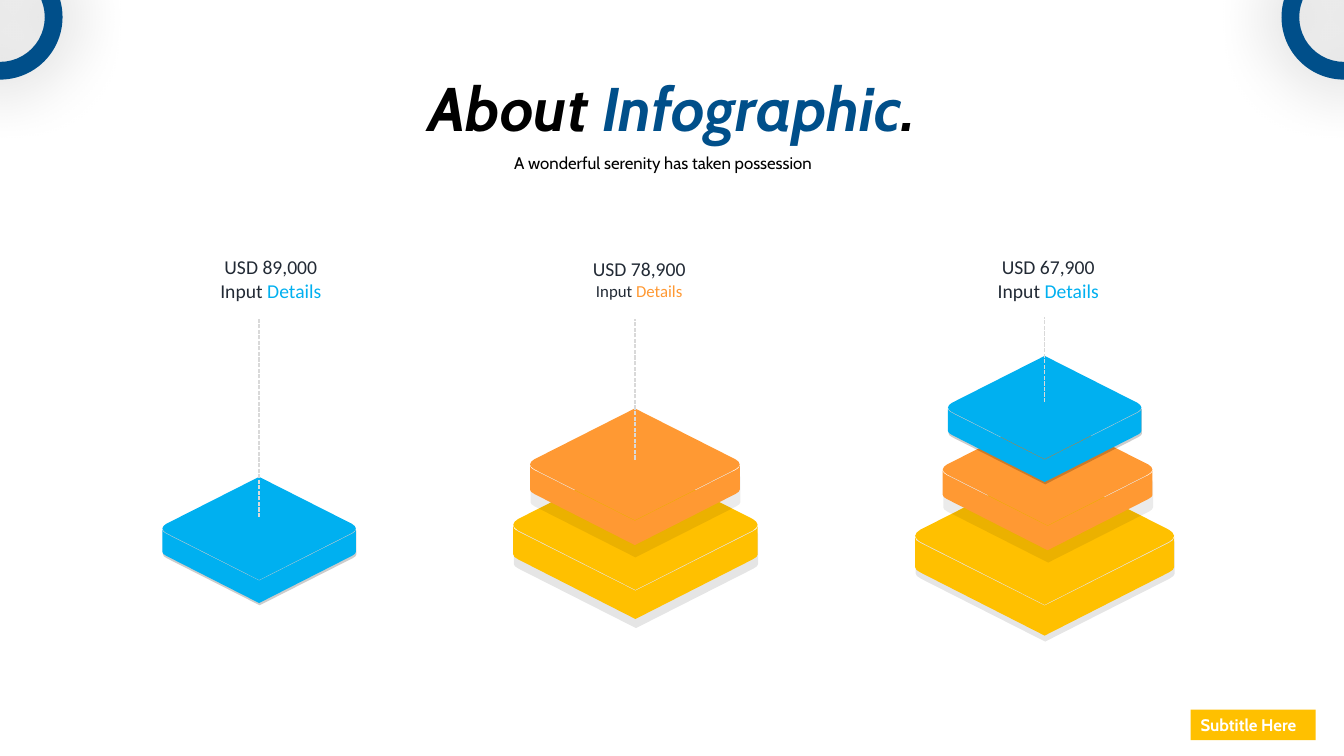
"""Build the infographic slide with three stacks of isometric slabs."""
from dataclasses import dataclass

from lxml.etree import SubElement
from pptx import Presentation
from pptx.dml.color import RGBColor
from pptx.enum.dml import MSO_LINE
from pptx.enum.shapes import MSO_CONNECTOR as Connector, MSO_SHAPE as Preset
from pptx.enum.text import MSO_ANCHOR as Anchor, MSO_AUTO_SIZE as AutoSize, PP_ALIGN as Align
from pptx.oxml.ns import qn
from pptx.util import Pt

BLUE, ORANGE, YELLOW = "00B0F0", "FF9933", "FFC000"
NAVY, INK, BLACK, WHITE, GREY = "004F8A", "222A35", "000000", "FFFFFF", "D9D9D9"

TOP_EDGE = [(0.5, 0), (0.98, 0.243), (0.994, 0.254), (1, 0.267),
            (0.994, 0.279), (0.98, 0.29), (0.5, 0.533)]
SIDE_EDGE = [(0.5, 0.536), (0.98, 0.294), (0.995, 0.284), (1, 0.272),
             (1, 0.388), (0.995, 0.398), (0.98, 0.408), (0.5, 0.652)]
SHADOW_EDGE = [(0.5, 0), (0.98, 0.243), (0.995, 0.253), (1, 0.265),
               (1, 0.385), (0.995, 0.395), (0.98, 0.405), (0.5, 0.648)]


@dataclass
class Slab:
    center: float
    top: float
    width: float
    color: str
    drop: float
    opacity: int


@dataclass
class Label:
    left: float
    top: float
    width: float
    height: float
    amount: str
    color: str
    detail_size: int


@dataclass
class Leader:
    x: float
    bottom: float
    top: float


SLABS = [
    Slab(185.1, 340.6, 138.2, BLUE, 2.2, 20),
    Slab(453.9, 328.3, 174.6, YELLOW, 7.2, 10),
    Slab(453.5, 291.7, 149.8, ORANGE, 9.4, 8),
    Slab(746.2, 333.4, 185, YELLOW, 5, 10),
    Slab(748.3, 295.4, 149.8, ORANGE, 9.4, 8),
    Slab(746.2, 254.2, 138.2, BLUE, 2.2, 20),
]
LEADERS = [Leader(185.1, 369.4, 228.2), Leader(453.6, 328.3, 228.2), Leader(746.1, 287.3, 226.1)]
LABELS = [
    Label(149.5, 178.6, 88, 41, "USD 89,000", BLUE, 14),
    Label(415.9, 180, 81.4, 38.9, "USD 78,900", ORANGE, 12),
    Label(704.8, 178.6, 88, 41, "USD 67,900", BLUE, 14),
]


def rgb(color: str) -> RGBColor:
    return RGBColor.from_string(color)


def paint(shape, color: str, opacity: int = 100) -> None:
    shape.shadow.inherit = False
    shape.line.fill.background()
    shape.fill.solid()
    shape.fill.fore_color.rgb = rgb(color)
    if opacity < 100:
        tint = shape._element.spPr.find(qn("a:solidFill")).find(qn("a:srgbClr"))
        SubElement(tint, qn("a:alpha"), val=str(opacity * 1000))


def add_span(para, text: str, *, size: float, color: str, font: str = "Cabin",
             bold: bool = False, italic: bool = False) -> None:
    span = para.add_run()
    span.text = text
    span.font.size = Pt(size)
    span.font.name = font
    span.font.bold = bold
    span.font.italic = italic
    span.font.color.rgb = rgb(color)


def prepare_frame(shape, wrap: bool):
    frame = shape.text_frame
    frame.word_wrap = wrap
    frame.auto_size = AutoSize.SHAPE_TO_FIT_TEXT
    frame.vertical_anchor = Anchor.TOP
    return frame


def add_box(page, left: float, top: float, width: float, height: float, wrap: bool = True):
    box = page.shapes.add_textbox(Pt(left), Pt(top), Pt(width), Pt(height))
    frame = prepare_frame(box, wrap)
    frame.paragraphs[0].alignment = Align.CENTER
    return frame


def add_facet(page, edge: list[tuple[float, float]], center: float, top: float,
              width: float, color: str, opacity: int = 100) -> None:
    outline = edge + [(1 - x, y) for x, y in reversed(edge)]
    points = [(Pt(center + (x - 0.5) * width), Pt(top + y * width)) for x, y in outline]
    builder = page.shapes.build_freeform(*points[0])
    builder.add_line_segments(points[1:], close=True)
    paint(builder.convert_to_shape(), color, opacity)


def add_slab(page, slab: Slab) -> None:
    add_facet(page, SHADOW_EDGE, slab.center + 0.4, slab.top + slab.drop,
              slab.width, "010101", slab.opacity)
    for edge in (TOP_EDGE, SIDE_EDGE):
        add_facet(page, edge, slab.center, slab.top, slab.width, slab.color)


def add_leader(page, leader: Leader) -> None:
    line = page.shapes.add_connector(Connector.STRAIGHT, Pt(leader.x), Pt(leader.bottom),
                                     Pt(leader.x), Pt(leader.top))
    line.line.color.rgb = rgb(GREY)
    line.line.width = Pt(1)
    line.line.dash_style = MSO_LINE.SQUARE_DOT
    SubElement(line._element.spPr, qn("a:effectLst"))


def add_label(page, label: Label) -> None:
    frame = add_box(page, label.left, label.top, label.width, label.height, wrap=False)
    add_span(frame.paragraphs[0], label.amount, size=14, color=INK, font="Calibri")
    para = frame.add_paragraph()
    para.alignment = Align.CENTER
    for text, color in (("Input ", INK), ("Details", label.color)):
        add_span(para, text, size=label.detail_size, color=color, font="Calibri")


def add_heading(page) -> None:
    title = add_box(page, 170.6, 46.1, 619.2, 60.5).paragraphs[0]
    for text, color in (("About ", BLACK), ("Infographic", NAVY), (".", BLACK)):
        add_span(title, text, size=44, color=color, bold=True, italic=True)
    tagline = add_box(page, 314.6, 98.6, 318.2, 26.6).paragraphs[0]
    tagline.line_spacing = 1.5
    add_span(tagline, "A wonderful serenity has taken possession", size=12, color=BLACK)


def add_tag(page) -> None:
    tag = page.shapes.add_shape(Preset.RECTANGLE, Pt(850.5), Pt(506.8), Pt(89.3), Pt(21.8))
    paint(tag, YELLOW)
    para = prepare_frame(tag, wrap=False).paragraphs[0]
    para.alignment = Align.LEFT
    add_span(para, "Subtitle Here", size=12, color=WHITE, bold=True)


def add_ring(page, left: float) -> None:
    ring = page.shapes.add_shape(Preset.DONUT, Pt(left), Pt(-32.4), Pt(89.3), Pt(89.3))
    ring.adjustments[0] = 0.142
    paint(ring, NAVY)
    effects = ring._element.spPr.find(qn("a:effectLst"))
    glow = SubElement(effects, qn("a:outerShdw"), blurRad=str(Pt(49)), dist="0", dir="0",
                      algn="ctr", rotWithShape="0")
    shade = SubElement(glow, qn("a:srgbClr"), val=BLACK)
    SubElement(shade, qn("a:alpha"), val="33000")


def main() -> None:
    deck = Presentation()
    deck.slide_width, deck.slide_height = Pt(960), Pt(540)
    page = deck.slides.add_slide(deck.slide_layouts[6])
    for slab in SLABS:
        add_slab(page, slab)
    for leader in LEADERS:
        add_leader(page, leader)
    for label in LABELS:
        add_label(page, label)
    add_heading(page)
    add_tag(page)
    for left in (-44.6, 915.4):
        add_ring(page, left)
    deck.save("out.pptx")


if __name__ == "__main__":
    main()
